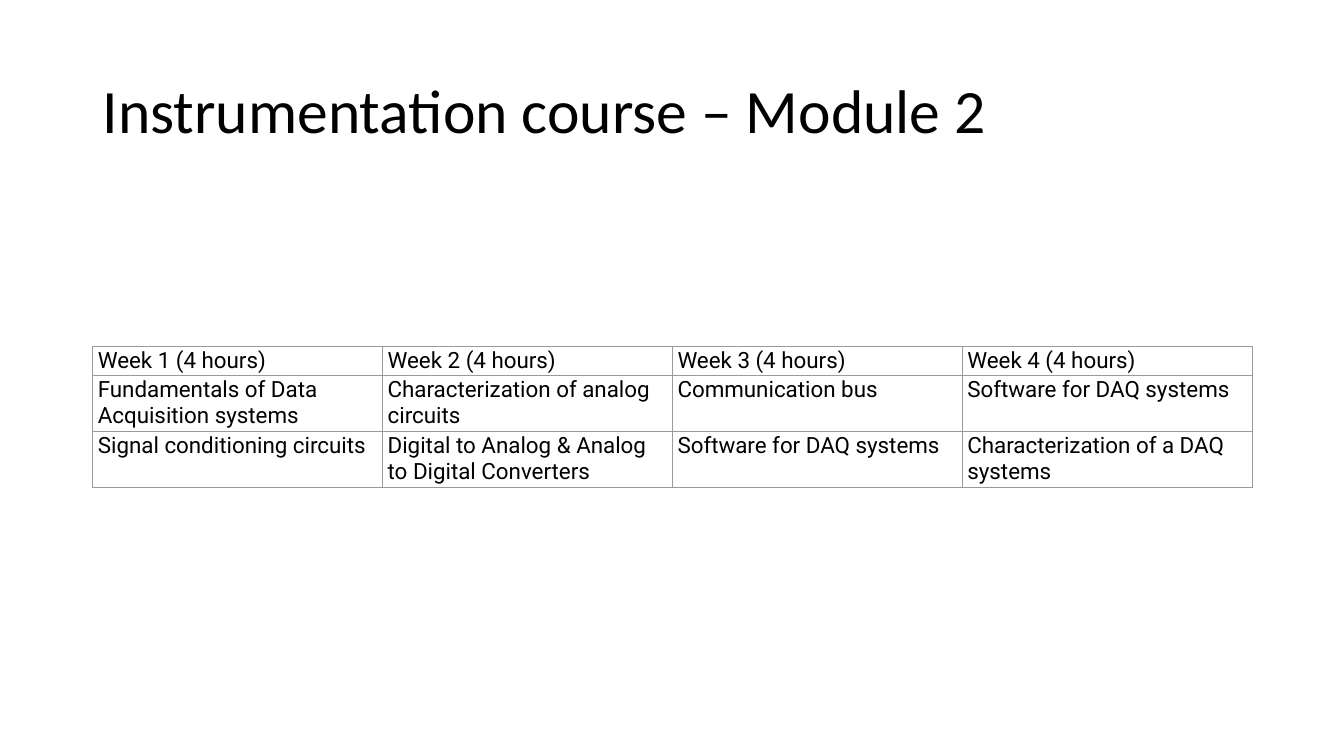
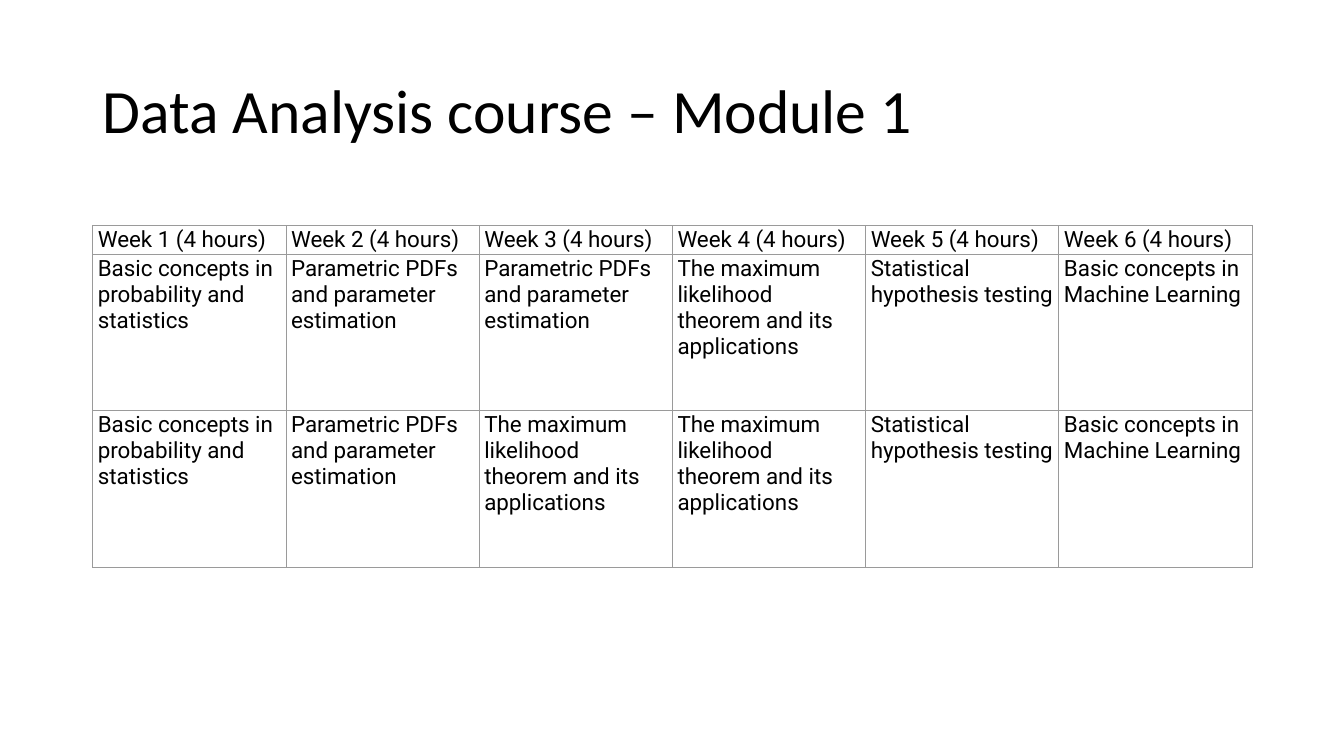
import pptx
import pptx.util
import pptx.dml.color
import pptx.enum.text
import pptx.oxml
import pptx.oxml.ns

Inches = pptx.util.Inches
Pt = pptx.util.Pt


def tint(code):
    return pptx.dml.color.RGBColor.from_string(code)


class Deck:
    ink = "000000"
    paper = "FFFFFF"
    rule = "9A9A9A"
    left = 0.92
    width = 11.5

    def __init__(self):
        self.show = pptx.Presentation()
        self.show.slide_width = Inches(13.33)
        self.show.slide_height = Inches(7.5)

    def add_page(self):
        self.page = self.show.slides.add_slide(self.show.slide_layouts[6])
        fill = self.page.background.fill
        fill.solid()
        fill.fore_color.rgb = tint(self.paper)

    def add_text(self, par, text, font, size):
        run = par.add_run()
        run.text = text
        run.font.name = font
        run.font.size = Pt(size)
        run.font.bold = False
        run.font.color.rgb = tint(self.ink)

    def title(self, text):
        box = self.page.shapes.add_textbox(
            Inches(self.left), Inches(0.4), Inches(self.width), Inches(1.45))
        frame = box.text_frame
        frame.word_wrap = True
        frame.vertical_anchor = pptx.enum.text.MSO_ANCHOR.MIDDLE
        par = frame.paragraphs[0]
        par.line_spacing = 0.9
        self.add_text(par, text, "Calibri", 44)

    def border(self, cell):
        props = cell._tc.get_or_add_tcPr()
        for spot, side in enumerate(("lnL", "lnR", "lnT", "lnB")):
            line = pptx.oxml.parse_xml(
                f'<a:{side} {pptx.oxml.ns.nsdecls("a")} w="{Pt(0.75)}">'
                f'<a:solidFill><a:srgbClr val="{self.rule}"/></a:solidFill>'
                f'</a:{side}>')
            props.insert(spot, line)

    def cell(self, cell, text):
        cell.margin_left = cell.margin_right = Inches(0.05)
        cell.margin_top = cell.margin_bottom = Inches(0.01)
        cell.fill.background()
        self.border(cell)
        self.add_text(cell.text_frame.paragraphs[0], text, "Roboto", 16)

    def table(self, top, high, rows):
        count = len(rows[0])
        sizes = [0.28] + [high] * (len(rows) - 1)
        table = self.page.shapes.add_table(
            len(rows), count, Inches(self.left), Inches(top),
            Inches(self.width), Inches(sum(sizes))).table
        table.first_row = False
        table.horz_banding = False
        for col in table.columns:
            col.width = Inches(self.width / count)
        for row, size, texts in zip(table.rows, sizes, rows):
            row.height = Inches(size)
            for cell, text in zip(row.cells, texts):
                self.cell(cell, text)

    def course(self, name, top, high, topics):
        self.add_page()
        self.title(name)
        weeks = [f"Week {n} (4 hours)" for n in range(1, len(topics[0]) + 1)]
        self.table(top, high, [weeks] + topics)


basics = "Basic concepts in probability and statistics"
params = "Parametric PDFs and parameter estimation"
likely = "The maximum likelihood theorem and its applications"
tests = "Statistical hypothesis testing"
learn = "Basic concepts in Machine Learning"
soft = "Software for DAQ systems"

deck = Deck()
deck.course("Instrumentation course – Module 2", 3.44, 0.54, [
    ["Fundamentals of Data Acquisition systems",
     "Characterization of analog circuits", "Communication bus", soft],
    ["Signal conditioning circuits",
     "Digital to Analog & Analog to Digital Converters", soft,
     "Characterization of a DAQ systems"],
])
deck.course("Data Analysis course – Module 1", 2.24, 1.55, [
    [basics, params, params, likely, tests, learn],
    [basics, params, likely, likely, tests, learn],
])
deck.show.save("out.pptx")
